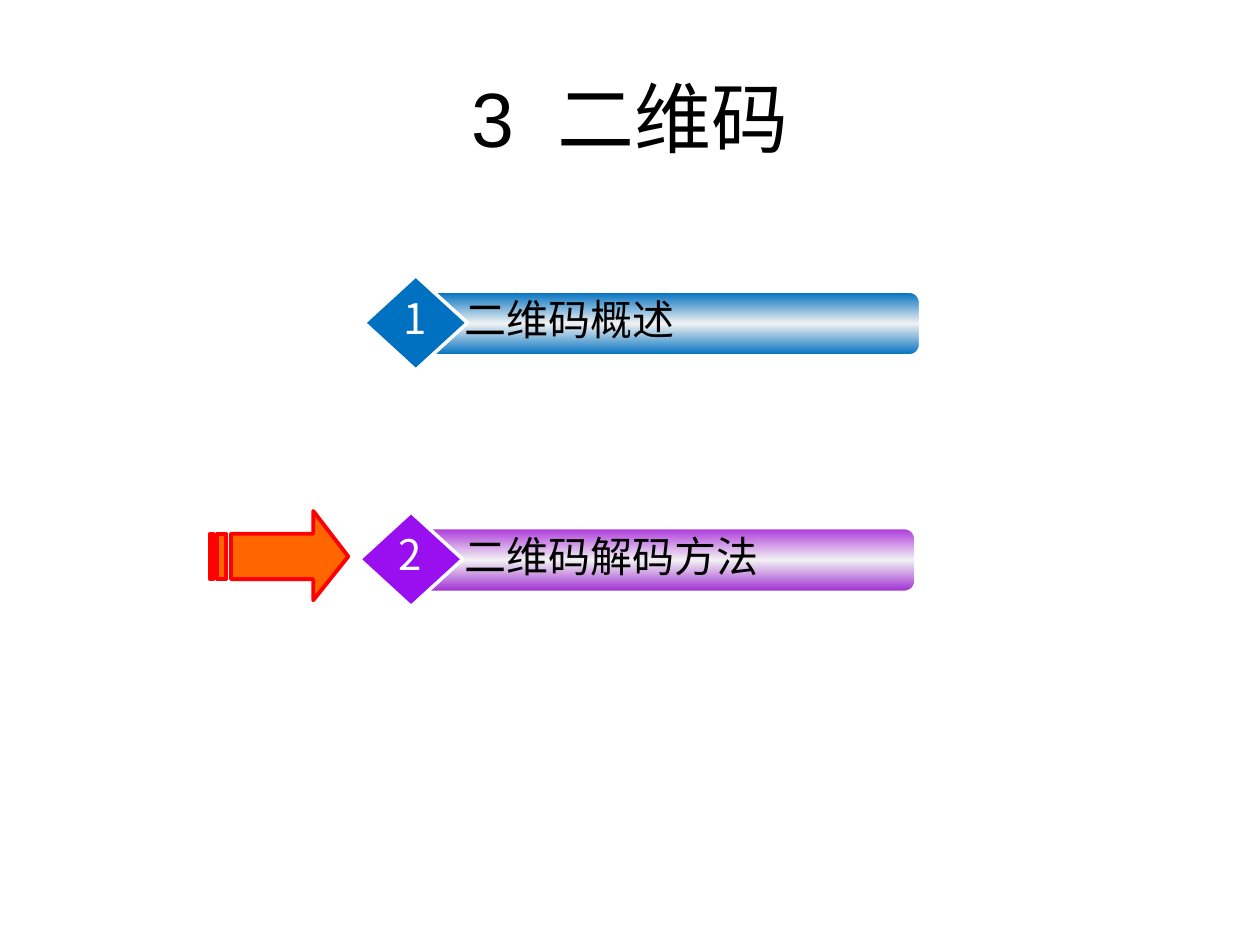
"""Builds the section agenda slide with two numbered topic bars."""
import copy

from pptx import Presentation
from pptx import util as u
from pptx.dml.color import RGBColor
from pptx.enum import shapes, text
from pptx.oxml.ns import qn

BLACK = RGBColor(0x00, 0x00, 0x00)
WHITE = RGBColor(0xFF, 0xFF, 0xFF)
SHEEN = RGBColor(0xF2, 0xF2, 0xF2)
BLUE = RGBColor(0x00, 0x70, 0xC0)
VIOLET = RGBColor(0x9A, 0x0F, 0xEF)
ORCHID = RGBColor(0xAD, 0x39, 0xDB)
PURPLE = RGBColor(0x9F, 0x2E, 0xD2)
ORANGE = RGBColor(0xFF, 0x66, 0x00)
RED = RGBColor(0xFF, 0x00, 0x00)
LATIN = "Arial"
CJK = "Noto Sans CJK SC"


class Agenda:
    def __init__(self, deck):
        self.slide = deck.slides.add_slide(deck.slide_layouts[5])
        self.shapes = self.slide.shapes

    def place(self, item, left, top, width, height):
        item.left, item.top = u.Pt(left), u.Pt(top)
        item.width, item.height = u.Pt(width), u.Pt(height)

    def run(self, paragraph, words, size, font, colour, spacing=0):
        piece = paragraph.add_run()
        piece.text = words
        piece.font.size = u.Pt(size)
        piece.font.name = font
        piece.font.color.rgb = colour
        props = piece.font._element
        east = props.makeelement(qn("a:ea"), {"typeface": CJK})
        props.find(qn("a:latin")).addnext(east)
        if spacing:
            props.set("spc", str(spacing * 100))

    def title(self, number, words):
        heading = self.shapes.title
        self.place(heading, 36, 21.6, 648, 90)
        heading.text_frame.vertical_anchor = text.MSO_ANCHOR.MIDDLE
        line = heading.text_frame.paragraphs[0]
        line.alignment = text.PP_ALIGN.CENTER
        self.run(line, number, 44, LATIN, BLACK)
        self.run(line, " ", 44, LATIN, BLACK, spacing=12)
        self.run(line, words, 44, LATIN, BLACK)

    def outline(self, item, colour, width):
        item.shadow.inherit = False
        item.line.color.rgb = colour
        item.line.width = u.Pt(width)

    def preset(self, kind, left, top, width, height, line_width):
        item = self.shapes.add_shape(kind, *map(u.Pt, (left, top, width, height)))
        self.outline(item, WHITE, line_width)
        return item

    def bar(self, left, top, colours):
        bar = self.preset(shapes.MSO_SHAPE.ROUNDED_RECTANGLE, left, top, 284.4, 36, 1)
        bar.fill.gradient()
        bar.fill.gradient_angle = 270
        stops = bar._element.spPr.find(qn("a:gradFill")).find(qn("a:gsLst"))
        stops.insert(1, copy.deepcopy(stops[0]))
        for stop, colour, position in zip(bar.fill.gradient_stops, colours, (0, 0.5, 1)):
            stop.color.rgb = colour
            stop.position = position

    def diamond(self, left, top, colour):
        diamond = self.preset(shapes.MSO_SHAPE.DIAMOND, left, top, 59, 54, 2)
        diamond.fill.solid()
        diamond.fill.fore_color.rgb = colour

    def label(self, words, left, top, width, font, colour, wrap=True):
        box = self.shapes.add_textbox(*map(u.Pt, (left, top, width, 36.7)))
        box.text_frame.word_wrap = wrap
        line = box.text_frame.paragraphs[0]
        line.alignment = text.PP_ALIGN.LEFT if wrap else text.PP_ALIGN.CENTER
        self.run(line, words, 24, font, colour)

    def topic(self, number, words, left, top, accent, colours):
        self.bar(left + 33.1, top + 9.4, colours)
        self.diamond(left, top, accent)
        self.label(words, 258.5, top + 6.8, 260, LATIN, BLACK)
        self.label(number, left + 15.4, top + 6, 26.6, CJK, WHITE, wrap=False)

    def striped_arrow(self, left, top, width, height):
        right, low, mid = left + width, top + height, top + height / 2
        upper, lower = top + height / 4, low - height / 4
        neck, tail = left + 59.4, left + width * 5 / 32
        head = [(neck, top), (neck, upper), (tail, upper), (tail, lower),
                (neck, lower), (neck, low), (right, mid)]
        stripes = [[(a, upper), (a, lower), (b, lower), (b, upper)]
                   for a, b in ((left + width / 16, left + width / 8),
                                (left, left + width / 32))]
        path = self.shapes.build_freeform(*head[0], scale=u.Pt(1))
        path.add_line_segments(head[1:], close=True)
        for stripe in stripes:
            path.move_to(*stripe[0])
            path.add_line_segments(stripe[1:], close=True)
        arrow = path.convert_to_shape()
        self.outline(arrow, RED, 2.25)
        arrow.fill.solid()
        arrow.fill.fore_color.rgb = ORANGE


deck = Presentation()
deck.slide_width, deck.slide_height = u.Pt(720), u.Pt(540)
agenda = Agenda(deck)
agenda.title("3", "二维码")
agenda.topic("2", "二维码解码方法", 205.4, 292.6, VIOLET, (ORCHID, SHEEN, PURPLE))
agenda.topic("1", "二维码概述", 208.1, 157.5, BLUE, (BLUE, SHEEN, BLUE))
agenda.striped_arrow(119.5, 292.3, 79.2, 51.1)
deck.save("out.pptx")
